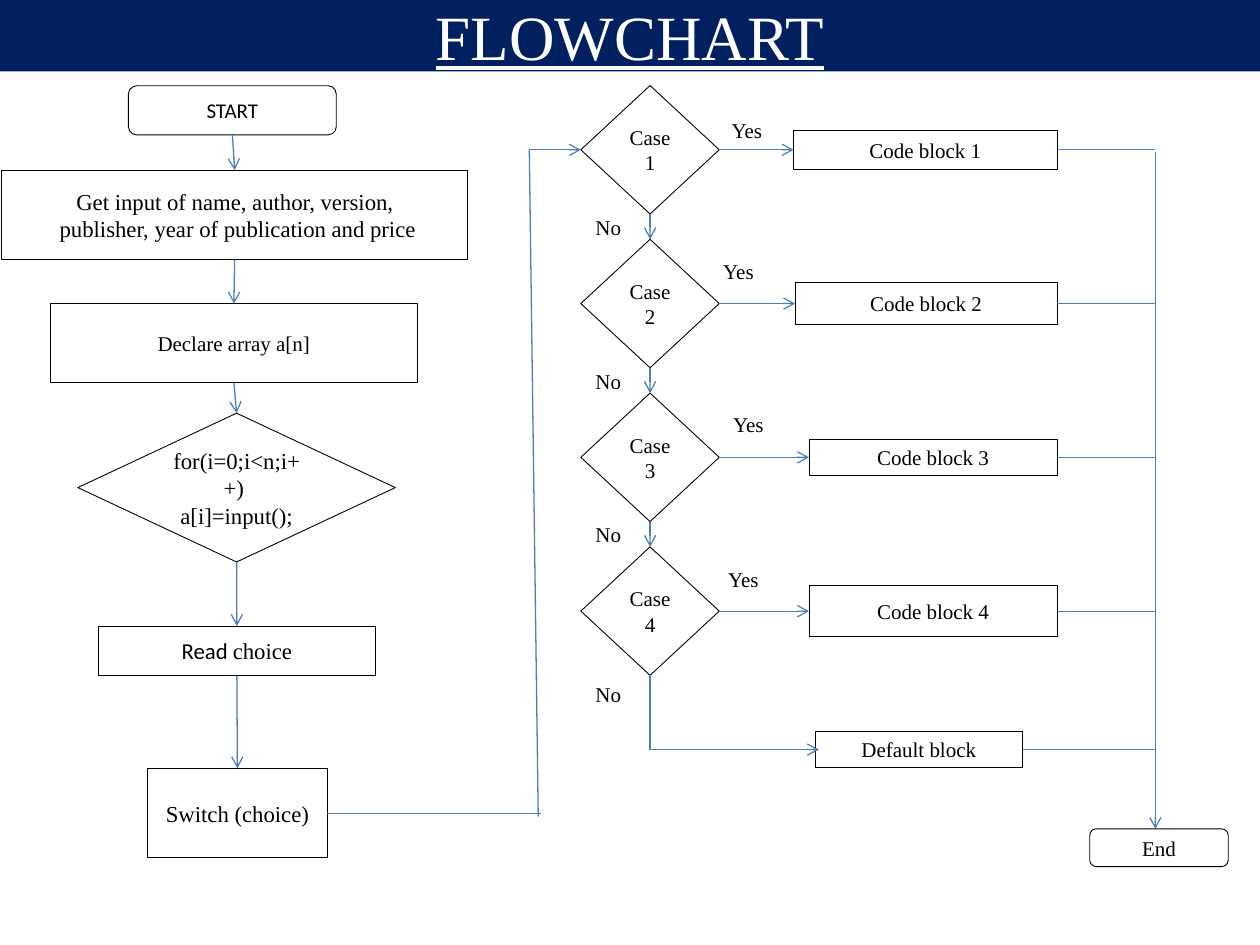
from lxml import etree
from pptx import Presentation
from pptx.dml.color import RGBColor
from pptx.enum.shapes import MSO_CONNECTOR, MSO_SHAPE
from pptx.enum.text import MSO_ANCHOR, MSO_AUTO_SIZE, PP_ALIGN
from pptx.oxml.ns import qn
from pptx.util import Cm, Pt

NAVY = RGBColor(0x00, 0x20, 0x60)
BLUE = RGBColor(0x4B, 0x7E, 0xBC)
WHITE = RGBColor(0xFF, 0xFF, 0xFF)
BLACK = RGBColor(0x00, 0x00, 0x00)
SERIF, SANS = "Times New Roman", "Calibri"
STRAIGHT = MSO_CONNECTOR.STRAIGHT
RECT, ROUNDED = MSO_SHAPE.RECTANGLE, MSO_SHAPE.ROUNDED_RECTANGLE
PROCESS, DECISION = MSO_SHAPE.FLOWCHART_PROCESS, MSO_SHAPE.FLOWCHART_DECISION
TERMINAL = MSO_SHAPE.FLOWCHART_ALTERNATE_PROCESS
MIDDLE, FIT, NO_FIT = MSO_ANCHOR.MIDDLE, MSO_AUTO_SIZE.SHAPE_TO_FIT_TEXT, MSO_AUTO_SIZE.NONE
LEFT, CENTER, RIGHT = PP_ALIGN.LEFT, PP_ALIGN.CENTER, PP_ALIGN.RIGHT


class Flowchart:
    """Holds the flowchart style and the slide; lengths are centimetres."""

    def __init__(self, slide):
        """Keep the slide to draw on."""
        self.slide = slide

    def style(self, frame, align, size, font=SERIF, color=BLACK):
        """Format every paragraph of a text frame."""
        frame.word_wrap = True
        for paragraph in frame.paragraphs:
            paragraph.alignment = align
            paragraph.font.size = Pt(size)
            paragraph.font.name = font
            paragraph.font.color.rgb = color

    def title(self, text, width, height):
        """Turn the title placeholder into the banner."""
        banner = self.slide.shapes.title
        banner.left, banner.top = Cm(0), Cm(0)
        banner.width, banner.height = Cm(width), Cm(height)
        banner.fill.solid()
        banner.fill.fore_color.rgb = NAVY
        frame = banner.text_frame
        frame.text = text
        frame.auto_size = NO_FIT
        frame.vertical_anchor = MIDDLE
        self.style(frame, CENTER, 36, color=WHITE)
        frame.paragraphs[0].font.underline = True

    def node(self, kind, text, left, top, width, height, size=12, font=SERIF):
        """Add an outlined shape with centred text and return it."""
        shape = self.slide.shapes.add_shape(kind, Cm(left), Cm(top), Cm(width), Cm(height))
        shape.shadow.inherit = False
        shape.fill.solid()
        shape.fill.fore_color.rgb = WHITE
        shape.line.color.rgb = BLACK
        shape.line.width = Pt(0.5)
        shape.text_frame.text = text
        shape.text_frame.vertical_anchor = MIDDLE
        self.style(shape.text_frame, CENTER, size, font)
        return shape

    def label(self, text, left, top, width, align):
        """Add a branch label."""
        box = self.slide.shapes.add_textbox(Cm(left), Cm(top), Cm(width), Cm(0.77))
        box.text_frame.text = text
        box.text_frame.auto_size = FIT
        self.style(box.text_frame, align, 12)

    def line(self, x1, y1, x2, y2, arrow=True):
        """Add a straight line, with an arrowhead at its end if wanted."""
        link = self.slide.shapes.add_connector(STRAIGHT, Cm(x1), Cm(y1), Cm(x2), Cm(y2))
        link.line.color.rgb = BLUE
        link.line.width = Pt(0.75)
        properties = link._element.spPr
        if arrow:
            etree.SubElement(properties.find(qn("a:ln")), qn("a:tailEnd"), type="arrow")
        etree.SubElement(properties, qn("a:effectLst"))


def draw_preparation(chart):
    """Draw the left column, from the start to the switch."""
    steps = [
        (ROUNDED, "START", 2.59, 1.73, 4.19, 0.99, 12, SANS),
        (PROCESS, "Get input of name, author, version,\n publisher, year of publication and price",
         0.03, 3.43, 9.4, 1.8, 13),
        (PROCESS, "Declare array a[n]", 1.02, 6.12, 7.39, 1.6),
        (DECISION, "for(i=0;i<n;i++) \va[i]=input();", 1.57, 8.33, 6.4, 3, 13),
        (PROCESS, "Read ", 1.98, 12.62, 5.59, 1, 13, SANS),
        (PROCESS, "Switch (choice)", 2.97, 15.49, 3.63, 1.8, 13),
    ]
    nodes = [chart.node(*step) for step in steps]
    choice = nodes[4].text_frame.paragraphs[0].add_run()
    choice.text = "choice"
    choice.font.name = SERIF

    boxes = [step[2:6] for step in steps]
    for (left, top, width, height), (next_left, next_top, next_width, _) in zip(boxes, boxes[1:]):
        chart.line(left + width / 2, top + height, next_left + next_width / 2, next_top)


def draw_cases(chart):
    """Draw the case ladder, its code blocks and the way to the end."""
    case_left, case_width, case_height = 11.71, 2.79, 2.59
    first_middle, pitch = 3.02, 3.1
    case_center, case_right = case_left + case_width / 2, case_left + case_width
    block_right, bus = 21.31, 23.29
    default_middle, default_left, default_width = 15.11, 16.43, 4.19
    end_top = 16.71

    # block left, block height, left of "Yes", rise of "Yes" above the middle
    branches = [(16, 0.79, 14.5, 0.78), (16.03, 0.86, 14.33, 1.04),
                (16.31, 0.74, 14.53, 1.04), (16.31, 1.02, 14.43, 1.02)]
    for index, (block_left, block_height, yes_left, yes_rise) in enumerate(branches):
        number = index + 1
        middle = first_middle + pitch * index
        case_bottom = middle + case_height / 2
        last = number == len(branches)
        chart.node(DECISION, f"Case {number}", case_left, middle - case_height / 2,
                   case_width, case_height)
        chart.node(RECT, f"Code block {number}", block_left, middle - block_height / 2,
                   block_right - block_left, block_height)
        chart.line(case_right, middle, block_left, middle)
        chart.line(block_right, middle, bus, middle, arrow=False)
        chart.line(case_center, case_bottom, case_center,
                   default_middle if last else case_bottom + pitch - case_height, arrow=not last)
        chart.label("Yes", yes_left, middle - yes_rise, 1.8, LEFT)
        chart.label("No", 11.17, case_bottom - (0 if last else 0.12), 1.6, RIGHT)

    chart.node(RECT, "Default block", default_left, default_middle - 0.37, default_width, 0.74)
    chart.line(case_center, default_middle, default_left + 0.08, default_middle)
    chart.line(default_left + default_width, default_middle, bus, default_middle, arrow=False)
    chart.line(bus, first_middle + 0.05, bus, end_top)
    chart.node(TERMINAL, "End", 21.97, end_top, 2.79, 0.76)

    chart.line(6.6, 16.4, 10.9, 16.4, arrow=False)
    chart.line(10.85, 16.46, 10.67, first_middle, arrow=False)
    chart.line(10.67, first_middle, case_left, first_middle)


def main():
    """Build and save the slide."""
    deck = Presentation()
    deck.slide_width, deck.slide_height = Cm(25.4), Cm(19.05)
    chart = Flowchart(deck.slides.add_slide(deck.slide_layouts[5]))
    chart.title("FLOWCHART", 25.4, 1.44)
    draw_preparation(chart)
    draw_cases(chart)
    deck.save("out.pptx")


main()
